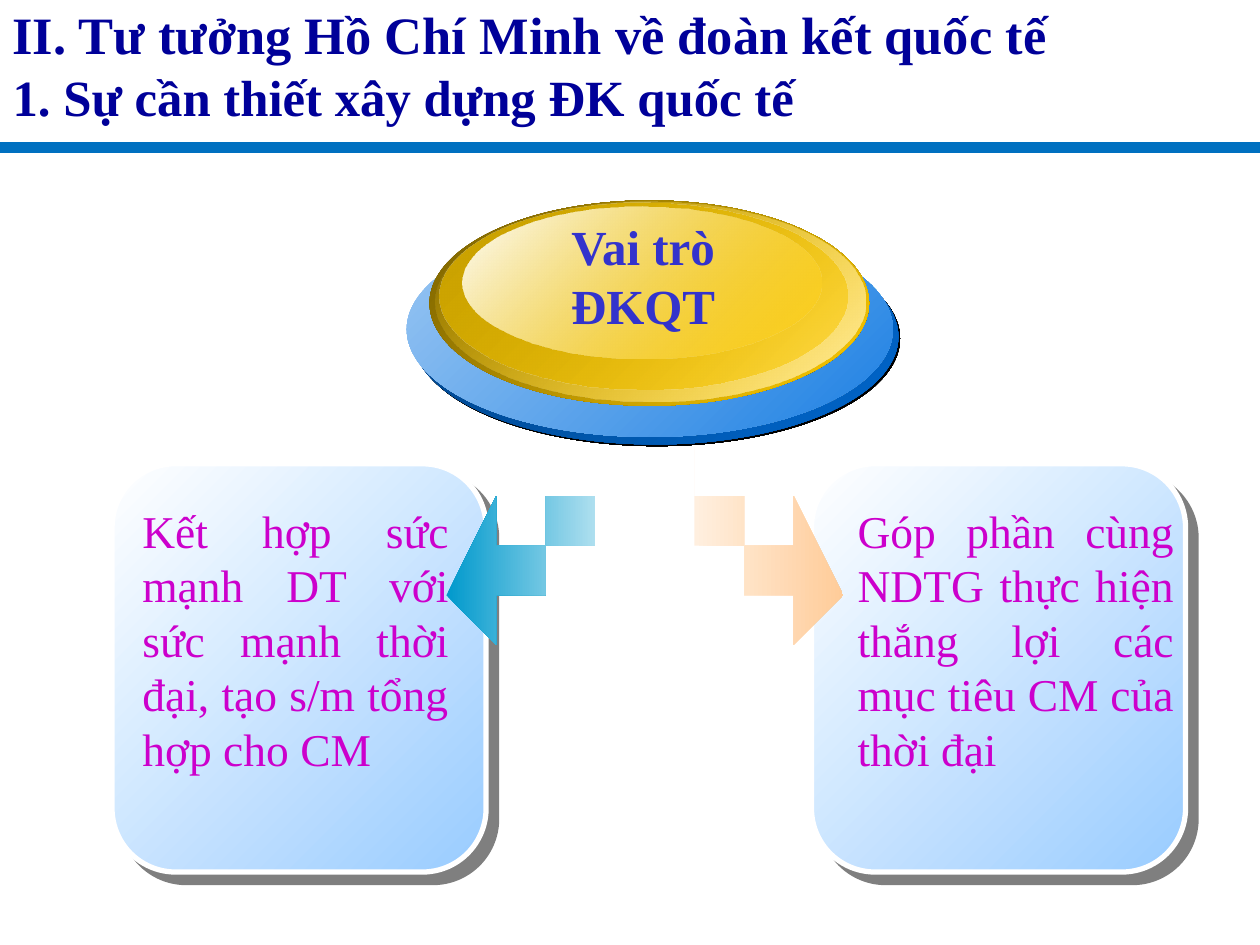
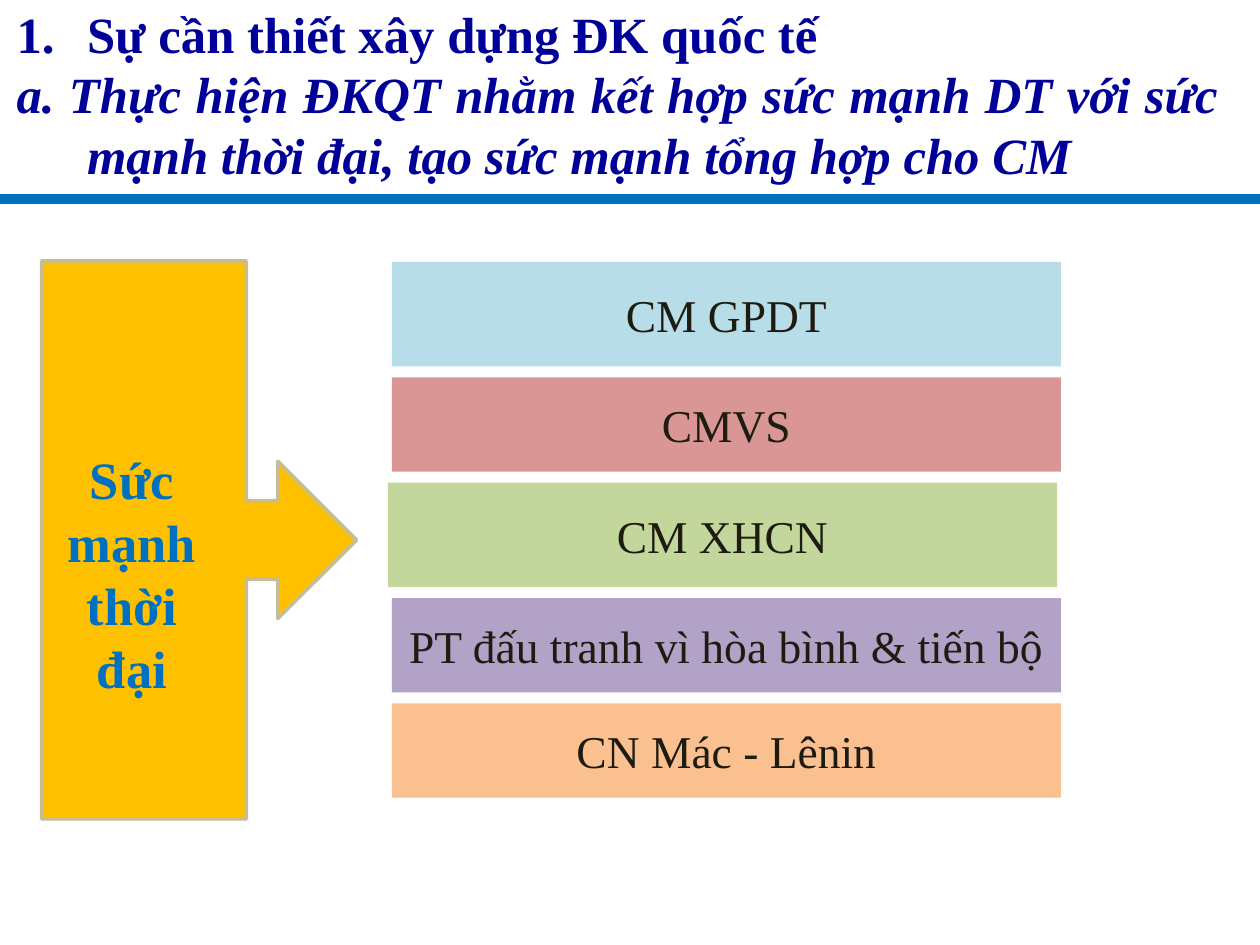
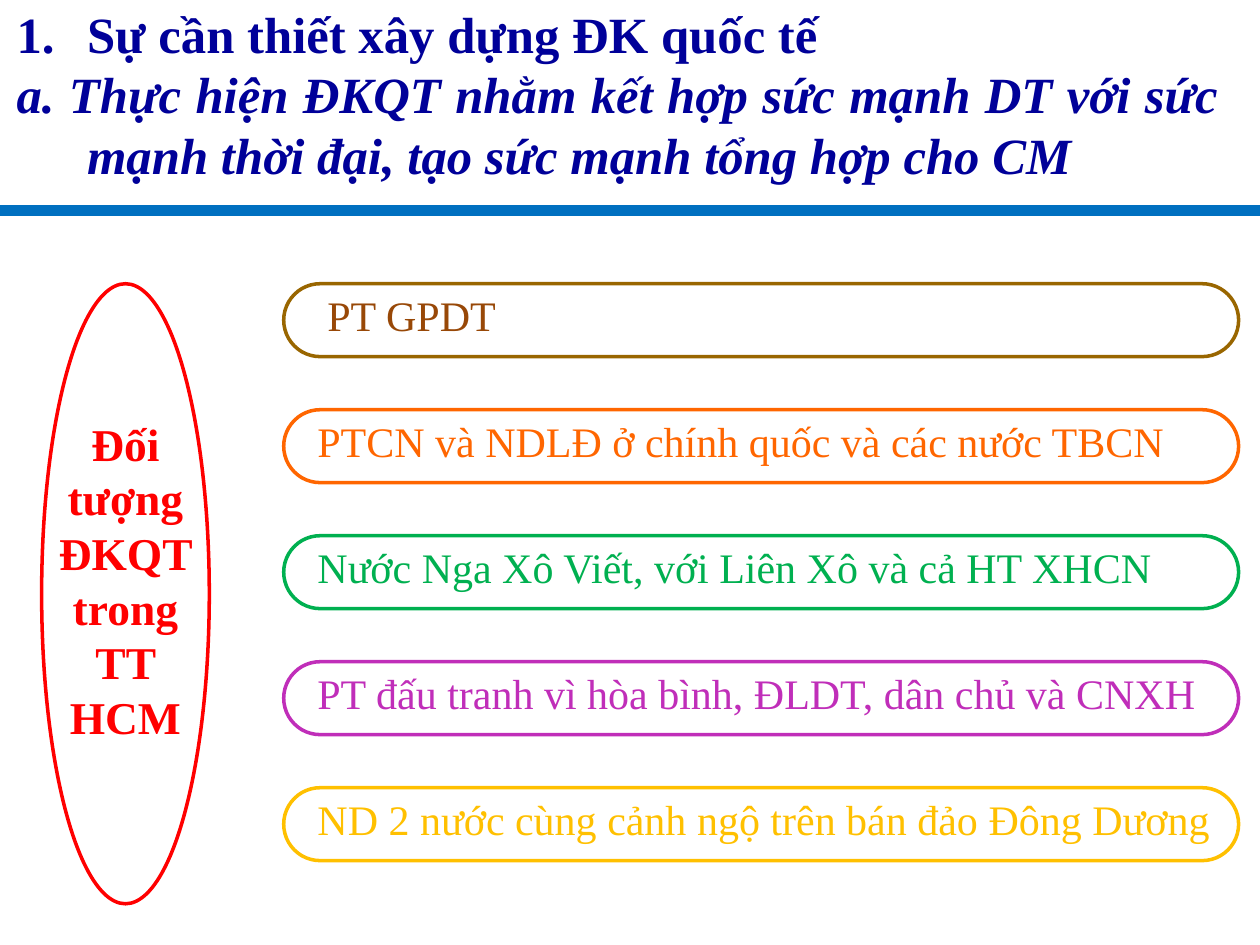
from typing import NamedTuple

from lxml.etree import SubElement
from pptx import Presentation
from pptx.dml.color import RGBColor
from pptx.enum.shapes import MSO_CONNECTOR, MSO_SHAPE as Shape
from pptx.enum.text import MSO_ANCHOR as Anchor, MSO_AUTO_SIZE, PP_ALIGN as Align
from pptx.oxml.ns import qn
from pptx.util import Cm, Pt

FONT = "Times New Roman"
NAVY, BLUE, MAGENTA, RED, GOLD = "000099", "0070C0", "CC00CC", "FF0000", "FFC000"
INK, WHITE = "1E1C11", "FFFFFF"
TITLE_ONLY = 5
HANGING = Cm(1.42)


class Box(NamedTuple):
    x: float
    y: float
    w: float
    h: float


class Stop(NamedTuple):
    color: str
    opacity: int = 100


class Shadow(NamedTuple):
    opacity: int
    distance: float


class Disc(NamedTuple):
    box: Box
    start: Stop
    end: Stop
    shadow: Shadow | None = None


class Card(NamedTuple):
    x: float
    text: str
    text_x: float
    text_w: float


class Bar(NamedTuple):
    text: str
    fill: str
    h: float = 1.9
    x: float = 7.9


class Pill(NamedTuple):
    text: str
    line: str
    color: str
    text_x: float = 6.15


DISCS = [
    Disc(Box(8.31, 4.62, 9.8, 4.34), Stop("004182"), Stop("0066CC"), Shadow(100, 1.4)),
    Disc(Box(8.2, 4.47, 9.8, 4.34), Stop("9BC7F3"), Stop("1D80E3")),
    Disc(Box(8.66, 4.04, 8.86, 4.14), Stop("765E00"), Stop("FFCC00")),
    Disc(Box(8.79, 4.06, 8.66, 4.04), Stop("FFCC00", 0), Stop("FFEDA6")),
    Disc(Box(8.86, 4.09, 8.23, 3.76), Stop("CAA200"), Stop("FFCC00", 48)),
    Disc(Box(9.32, 4.17, 7.24, 3.05), Stop(WHITE), Stop("FFCC00", 38)),
]
CARDS = [
    Card(16.36, "Góp phần cùng NDTG thực hiện thắng lợi các mục tiêu CM của thời đại", 17.04, 6.88),
    Card(2.26, "Kết hợp sức mạnh DT với sức mạnh thời đại, tạo s/m tổng hợp cho CM", 2.62, 6.68),
]
# Outline of a curved arrow, measured from its tail
ARROW = [
    (0, 0), (0, 0.43), (0.05, 0.84), (0.15, 1.22), (0.28, 1.55), (0.43, 1.88),
    (0.66, 2.16), (0.91, 2.44), (1.22, 2.69), (1.6, 2.92), (2.01, 3.15),
    (2.01, 3.84), (2.97, 2.46), (2.01, 1.12), (2.01, 1.78), (1.83, 1.78),
    (1.63, 1.7), (1.4, 1.63), (1.19, 1.5), (0.97, 1.35), (0.76, 1.19),
    (0.56, 0.99), (0.38, 0.79), (0.23, 0.61), (0.1, 0.41), (0.03, 0.2),
]
BARS = [
    Bar("CM GPDT", "B7DEE8", h=2.11),
    Bar("CMVS", "D99694"),
    Bar("CM XHCN", "C3D69B", h=2.11, x=7.82),
    Bar("PT đấu tranh vì hòa bình & tiến bộ", "B3A2C7"),
    Bar("CN Mác - Lênin", "FAC090"),
]
PILLS = [
    Pill("PT GPDT", "996600", "984807", text_x=6.35),
    Pill("PTCN và NDLĐ ở chính quốc và các nước TBCN", "FF6600", "FF6600"),
    Pill("Nước Nga Xô Viết, với Liên Xô và cả HT XHCN", "00B050", "00B050"),
    Pill("PT đấu tranh vì hòa bình, ĐLDT, dân chủ và CNXH", "C02EB9", "C02EB9"),
    Pill("ND 2 nước cùng cảnh ngộ trên bán đảo Đông Dương", GOLD, GOLD),
]


def rgb(color: str) -> RGBColor:
    return RGBColor.from_string(color)


def cm(box: Box) -> list[Cm]:
    return [Cm(v) for v in box]


def write(tf, text: str, *, size: float, color: str, bold=False, italic=False,
          align=Align.LEFT, first=True):
    """Fill the first paragraph of a frame, or add one after it."""
    p = tf.paragraphs[0] if first else tf.add_paragraph()
    p.alignment = align
    r = p.add_run()
    r.text = text
    font = r.font
    font.name, font.size, font.bold, font.italic = FONT, Pt(size), bold, italic
    font.color.rgb = rgb(color)
    return p


def add_text(slide, box: Box, text: str, **fmt) -> None:
    tf = slide.shapes.add_textbox(*cm(box)).text_frame
    tf.word_wrap = True
    write(tf, text, **fmt)


def style(sp, *, fill: str | None = None, line: str | None = None, width: float = 2,
          gradient: tuple[Stop, Stop] | None = None, angle: int = 45,
          shadow: Shadow | None = None) -> None:
    if gradient:
        sp.fill.gradient()
        sp.fill.gradient_angle = -angle % 360
        for gs, stop in zip(sp.fill.gradient_stops, gradient):
            gs.color.rgb = rgb(stop.color)
        colors = sp._element.spPr.find(qn("a:gradFill")).iter(qn("a:srgbClr"))
        for clr, stop in zip(colors, gradient):
            if stop.opacity < 100:
                SubElement(clr, qn("a:alpha"), val=str(stop.opacity * 1000))
    elif fill:
        sp.fill.solid()
        sp.fill.fore_color.rgb = rgb(fill)
    else:
        sp.fill.background()
    if line:
        sp.line.color.rgb = rgb(line)
        sp.line.width = Pt(width)
    else:
        sp.line.fill.background()
    sp.shadow.inherit = False
    if shadow:
        effects = sp._element.spPr.find(qn("a:effectLst"))
        outer = SubElement(effects, qn("a:outerShdw"), blurRad="0", dir="2700000",
                           dist=str(Pt(shadow.distance)), algn="ctr", rotWithShape="0")
        clr = SubElement(outer, qn("a:srgbClr"), val="000000")
        SubElement(clr, qn("a:alpha"), val=str(shadow.opacity * 1000))


def add_shape(slide, kind: Shape, box: Box, adjust: tuple[float, ...] = (), **look):
    sp = slide.shapes.add_shape(kind, *cm(box))
    for i, value in enumerate(adjust):
        sp.adjustments[i] = value
    style(sp, **look)
    return sp


def add_arrow(slide, tail_x: float, side: int, gradient: tuple[Stop, Stop]) -> None:
    """Draw the curved arrow to the left (side -1) or right (side 1)."""
    points = [(tail_x + side * dx, 9.04 + dy) for dx, dy in ARROW]
    builder = slide.shapes.build_freeform(*points[0], scale=Cm(1))
    builder.add_line_segments(points[1:], close=True)
    style(builder.convert_to_shape(), gradient=gradient, angle=0)


def start_slide(prs, rule_y: float, title_box: Box):
    """Add a slide with its blue rule; return it and its title frame."""
    slide = prs.slides.add_slide(prs.slide_layouts[TITLE_ONLY])
    y = Cm(rule_y)
    rule = slide.shapes.add_connector(MSO_CONNECTOR.STRAIGHT, 0, y, prs.slide_width, y)
    rule.line.color.rgb = rgb(BLUE)
    rule.line.width = Pt(6)
    SubElement(rule._element.spPr, qn("a:effectLst"))
    title = slide.shapes.title
    title.left, title.top, title.width, title.height = cm(title_box)
    tf = title.text_frame
    tf.word_wrap, tf.auto_size = True, MSO_AUTO_SIZE.NONE
    tf.vertical_anchor = Anchor.TOP
    return slide, tf


def start_section_slide(prs, rule_y: float):
    slide, tf = start_slide(prs, rule_y, Box(0.08, -0.08, 24.77, 3.94))
    fmt = dict(size=29, color=NAVY, bold=True, align=Align.JUSTIFY)
    heading = write(tf, "Sự cần thiết xây dựng ĐK quốc tế", **fmt)
    point = write(tf, "a. Thực hiện ĐKQT nhằm kết hợp sức mạnh DT với sức mạnh thời đại, "
                  "tạo sức mạnh tổng hợp cho CM", italic=True, first=False, **fmt)
    for p in (heading, point):
        pPr = p._p.get_or_add_pPr()
        pPr.set("marL", str(HANGING))
        pPr.set("indent", str(-HANGING))
    pPr = heading._p.get_or_add_pPr()
    SubElement(SubElement(pPr, qn("a:buClr")), qn("a:srgbClr"), val=NAVY)
    SubElement(pPr, qn("a:buFont"), typeface=FONT)
    SubElement(pPr, qn("a:buAutoNum"), type="arabicPeriod")
    return slide


def role_slide(prs) -> None:
    slide, tf = start_slide(prs, 2.97, Box(0, -0.08, 24.97, 2.77))
    fmt = dict(color=NAVY, bold=True, align=Align.JUSTIFY)
    write(tf, "II. Tư tưởng Hồ Chí Minh về đoàn kết quốc tế", size=30, **fmt)
    write(tf, "1. Sự cần thiết xây dựng ĐK quốc tế", size=29, first=False, **fmt)
    for card in CARDS:
        add_shape(slide, Shape.ROUNDED_RECTANGLE, Box(card.x, 9.35, 7.54, 8.23), (0.17,),
                  gradient=(Stop(WHITE), Stop("99CCFF")), line=WHITE, width=3,
                  shadow=Shadow(50, 8.5))
    add_arrow(slide, 12.12, -1, (Stop("0099CC"), Stop("AEDFEF")))
    add_arrow(slide, 14.1, 1, (Stop("FFEFDF"), Stop("FFCC99")))
    for disc in DISCS:
        add_shape(slide, Shape.OVAL, disc.box, gradient=(disc.start, disc.end),
                  shadow=disc.shadow)
    add_text(slide, Box(10.36, 4.24, 5.21, 2.64), "Vai trò ĐKQT", size=28,
             color="3333CC", bold=True, align=Align.CENTER)
    for card in CARDS:
        add_text(slide, Box(card.text_x, 10.01, card.text_w, 5.77), card.text, size=26,
                 color=MAGENTA, align=Align.JUSTIFY)


def strength_slide(prs) -> None:
    slide = start_section_slide(prs, 4.01)
    add_shape(slide, Shape.RIGHT_ARROW_CALLOUT, Box(0.84, 5.26, 6.35, 11.25),
              (0.25, 0.25, 0.25, 0.65), fill=GOLD, line="C4BD97")
    add_text(slide, Box(1.07, 8.89, 3.18, 5.33), "Sức mạnh thời đại", size=30,
             color=BLUE, bold=True, align=Align.CENTER)
    y, gap = 5.28, 0.22
    for bar in BARS:
        sp = add_shape(slide, Shape.RECTANGLE, Box(bar.x, y, 13.49, bar.h), fill=bar.fill)
        tf = sp.text_frame
        tf.word_wrap, tf.vertical_anchor = True, Anchor.MIDDLE
        write(tf, bar.text, size=26, color=INK, align=Align.CENTER)
        y += bar.h + gap


def partners_slide(prs) -> None:
    slide = start_section_slide(prs, 4.24)
    for i, pill in enumerate(PILLS):
        y = 5.72 + 2.54 * i
        add_shape(slide, Shape.ROUNDED_RECTANGLE, Box(5.72, y, 19.25, 1.47), (0.5,),
                  fill=WHITE, line=pill.line)
        add_text(slide, Box(pill.text_x, y, 18.62, 1.27), pill.text, size=24,
                 color=pill.color)
    add_shape(slide, Shape.OVAL, Box(0.84, 5.72, 3.38, 12.5), line=RED)
    add_text(slide, Box(0.84, 8.26, 3.38, 6.86), "Đối tượng ĐKQT trong TT HCM", size=26,
             color=RED, bold=True, align=Align.CENTER)


def main() -> None:
    prs = Presentation()
    prs.slide_width, prs.slide_height = Cm(25.4), Cm(19.05)
    role_slide(prs)
    strength_slide(prs)
    partners_slide(prs)
    prs.save("out.pptx")


if __name__ == "__main__":
    main()
